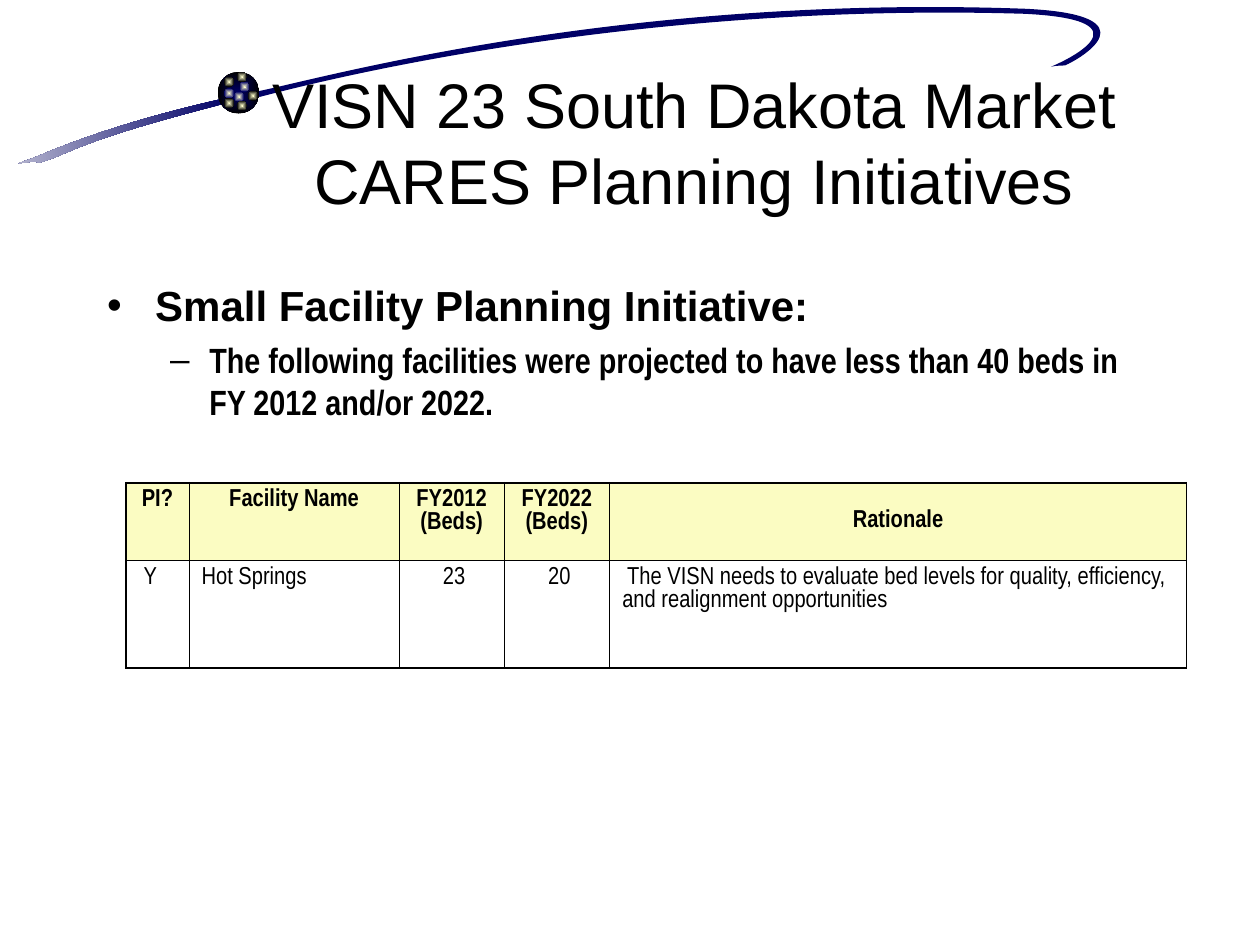
from math import cos, radians, sin

from lxml.etree import SubElement
from pptx import Presentation
from pptx.dml.color import RGBColor
from pptx.enum.shapes import MSO_SHAPE
from pptx.enum.text import MSO_ANCHOR, PP_ALIGN
from pptx.oxml.ns import qn
from pptx.util import Cm, Pt

COLORS = {"navy": "000066", "haze": "C5C5D9", "cream": "FFFFCC",
          "black": "000000", "header": "FBFCC2"}
INCH = 2.54
TILT = 8.5
TAIL = [(1.78, 0.78), (0.91, 0.98), (0.49, 1.16), (0.25, 1.26),
        (0.01, 1.34), (0.26, 1.26), (0.31, 1.29),
        (0.57, 1.22), (0.57, 1.13), (1.79, 0.82),
        (1.79, 0.82), (1.78, 0.78), (1.78, 0.78)]
SWOOSH = [(2.02, 0.73), (2.46, 0.65), (4.86, -0.05), (8.14, 0.07),
          (9.17, 0.12), (8.57, 0.47), (8.45, 0.52),
          (8.45, 0.52), (8.38, 0.52), (8.34, 0.53),
          (8.44, 0.49), (9.16, 0.16), (8.13, 0.11),
          (5.48, 0.03), (3.2, 0.47), (2.06, 0.77),
          (2.06, 0.77), (2.02, 0.73), (2.02, 0.73)]
DOTS = [(1.9, 0.65, "navy"), (1.78, 0.61, "black"), (1.78, 0.7, "navy"),
        (1.86, 0.73, "navy"), (1.97, 0.72, "black"), (1.88, 0.8, "black"),
        (1.78, 0.78, "black"), (1.88, 0.57, "black")]
COLUMNS = [0.5, 1.67, 0.83, 0.84, 4.58]
ROWS = [0.62, 0.85]
CELLS = [["PI?", "Facility Name", "FY2012 (Beds)", "FY2022 (Beds)", "Rationale"],
         ["Y", "Hot Springs", "23", "20",
          "The VISN needs to evaluate bed levels for quality, efficiency, "
          "and realignment opportunities"]]


def length(inches):
    """Turn inches into a Cm length."""
    return Cm(round(inches * INCH, 2))


def color(name):
    """Look up a colour of the palette."""
    return RGBColor.from_string(COLORS[name])


def set_gradient(shape, first, last, angle=None):
    """Fill a shape with a linear gradient, or one from its centre."""
    shape.fill.gradient()
    for stop, name in zip(shape.fill.gradient_stops, (first, last)):
        stop.color.rgb = color(name)
    if angle is not None:
        shape.fill.gradient_angle = angle
        return
    gradient = shape._element.spPr.find(qn("a:gradFill"))
    gradient.remove(gradient.find(qn("a:lin")))
    path = SubElement(gradient, qn("a:path"), {"path": "rect"})
    SubElement(path, qn("a:fillToRect"), dict.fromkeys("ltrb", "50000"))


def turn(point, center):
    """Turn a point clockwise about a centre by the tilt."""
    x, y = point[0] - center[0], point[1] - center[1]
    cosine, sine = cos(radians(TILT)), sin(radians(TILT))
    return (Cm((center[0] + x * cosine - y * sine) * INCH),
            Cm((center[1] + x * sine + y * cosine) * INCH))


def add_curve(slide, points, center):
    """Add a tilted closed shape bounded by cubic curves."""
    corners = [turn(point, center) for point in points]
    builder = slide.shapes.build_freeform(*corners[0])
    builder.add_line_segments(corners[1:], close=True)
    shape = builder.convert_to_shape()
    path = next(shape._element.iter(qn("a:path")))
    lines = path.findall(qn("a:lnTo"))
    for start in range(0, len(lines), 3):
        curve = SubElement(path, qn("a:cubicBezTo"))
        lines[start].addprevious(curve)
        for line in lines[start:start + 3]:
            curve.append(line[0])
            path.remove(line)
    shape.rotation = 360 - TILT
    shape.shadow.inherit = False
    shape.line.fill.background()
    return shape


def add_ball(slide, left, top, size, first, last):
    """Add a circle shaded from its centre."""
    shape = slide.shapes.add_shape(MSO_SHAPE.OVAL, length(left), length(top),
                                   length(size), length(size))
    shape.shadow.inherit = False
    shape.line.fill.background()
    set_gradient(shape, first, last)


def add_text_box(slide, left, top, width, height):
    """Add a wrapping text box and return its frame."""
    frame = slide.shapes.add_textbox(length(left), length(top),
                                     length(width), length(height)).text_frame
    frame.word_wrap = True
    return frame


def set_font(paragraph, size, name="Arial", bold=False):
    """Set the font of a whole paragraph."""
    font = paragraph.font
    font.size, font.name, font.bold = Pt(size), name, bold
    font.color.rgb = color("black")


def set_bullet(paragraph, mark, margin, hanging):
    """Give a paragraph a bullet and a hanging indent."""
    properties = paragraph._p.get_or_add_pPr()
    properties.set("marL", str(length(margin)))
    properties.set("indent", str(-length(hanging)))
    SubElement(properties, qn("a:buFont"), {"typeface": "Arial"})
    SubElement(properties, qn("a:buChar"), {"char": mark})


def set_borders(cell, widths):
    """Draw the four borders of a cell."""
    properties = cell._tc.get_or_add_tcPr()
    for index, (side, width) in enumerate(widths.items()):
        line = SubElement(properties, qn(f"a:ln{side}"), {"w": str(Pt(width))})
        fill = SubElement(line, qn("a:solidFill"))
        SubElement(fill, qn("a:srgbClr"), {"val": COLORS["black"]})
        properties.remove(line)
        properties.insert(index, line)


def fill_cell(cell, text, row, column):
    """Write and style one cell of the facility table."""
    header, last = row == 0, column == len(COLUMNS) - 1
    cell.text = text
    paragraph = cell.text_frame.paragraphs[0]
    if header or column in (2, 3):
        paragraph.alignment = PP_ALIGN.CENTER
    if not header and column != 1:
        paragraph._p.get_or_add_pPr().set("indent", str(Cm(0.1)))
    set_font(paragraph, 14, "Arial Narrow", header)
    if header:
        cell.fill.solid()
        cell.fill.fore_color.rgb = color("header")
    else:
        cell.fill.background()
    if header and last:
        cell.vertical_anchor = MSO_ANCHOR.MIDDLE
    thick, thin = 1.08, 0.45
    set_borders(cell, {"L": thin if column else thick, "R": thick if last else thin,
                       "T": thick if header else thin, "B": thin if header else thick})


def add_facility_table(slide):
    """Add the table of small facilities."""
    table = slide.shapes.add_table(len(ROWS), len(COLUMNS), length(1), length(3.83),
                                   length(sum(COLUMNS)), length(sum(ROWS))).table
    for column, width in zip(table.columns, COLUMNS):
        column.width = length(width)
    for row, height in zip(table.rows, ROWS):
        row.height = length(height)
    for row, texts in enumerate(CELLS):
        for column, text in enumerate(texts):
            fill_cell(table.cell(row, column), text, row, column)


def add_orbit(slide):
    """Add the curved line with its ball."""
    set_gradient(add_curve(slide, TAIL, (0.89, 1.06)), "navy", "haze", 180)
    swoosh = add_curve(slide, SWOOSH, (5.59, 0.4))
    swoosh.fill.solid()
    swoosh.fill.fore_color.rgb = color("navy")
    add_ball(slide, 1.73, 0.57, 0.33, "navy", "black")
    for left, top, edge in DOTS:
        add_ball(slide, left, top, 0.08, "cream", edge)


def add_title(slide):
    """Add the centred two-line title."""
    frame = add_text_box(slide, 1.26, 0.5, 8.5, 1.25)
    frame.vertical_anchor = MSO_ANCHOR.MIDDLE
    paragraph = frame.paragraphs[0]
    paragraph.text = "VISN 23 South Dakota Market\vCARES Planning Initiatives"
    paragraph.alignment = PP_ALIGN.CENTER
    set_font(paragraph, 36)


def add_body(slide):
    """Add the bulleted statement."""
    frame = add_text_box(slide, 0.75, 2.17, 8.5, 4.5)
    heading, detail = frame.paragraphs[0], frame.add_paragraph()
    heading.text = "Small Facility Planning Initiative:"
    set_bullet(heading, "•", 0.38, 0.38)
    set_font(heading, 24, bold=True)
    detail.text = ("The following facilities were projected to have less than "
                   "40 beds in FY 2012 and/or 2022.")
    detail.level = 1
    detail.space_before = Pt(5)
    set_bullet(detail, "–", 0.81, 0.31)
    set_font(detail, 20, "Arial Narrow", True)


def main():
    """Build and save the presentation."""
    presentation = Presentation()
    presentation.slide_width, presentation.slide_height = Cm(25.4), Cm(19.05)
    slide = presentation.slides.add_slide(presentation.slide_layouts[6])
    add_orbit(slide)
    add_title(slide)
    add_body(slide)
    add_facility_table(slide)
    presentation.save("out.pptx")


if __name__ == "__main__":
    main()
